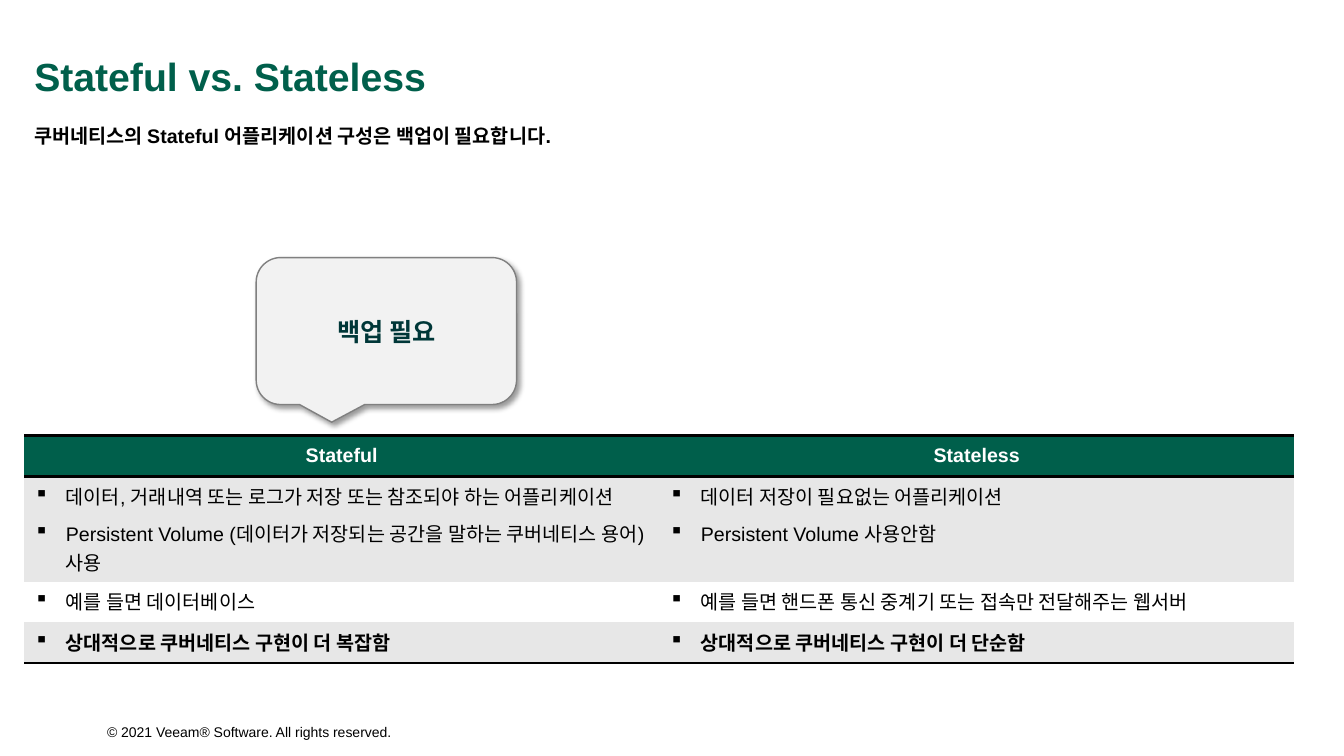
from dataclasses import dataclass

from lxml import etree
from pptx import Presentation
from pptx.dml.color import RGBColor
from pptx.enum.shapes import MSO_SHAPE as Shape
from pptx.enum.text import MSO_ANCHOR as Anchor, MSO_AUTO_SIZE as AutoSize, PP_ALIGN as Align
from pptx.oxml import parse_xml
from pptx.oxml.ns import nsdecls, qn
from pptx.util import Pt


@dataclass(frozen=True)
class Theme:
    font: str = "Arial"
    green: str = "005F4B"
    dark_green: str = "003738"
    black: str = "000000"
    white: str = "FFFFFF"
    band: str = "E7E7E7"
    callout: str = "F2F2F2"
    outline: str = "808080"
    title_size: float = 28
    callout_size: float = 18
    body_size: float = 14
    footer_size: float = 10


THEME = Theme()
NO_TABLE_STYLE = "{2D5ABB26-0587-4C30-8999-92F81FD0307C}"
LEFT, WIDTH = 17.3, 907.2
HEADINGS = ["Stateful", "Stateless"]
# Each row: height, fill, bold, and the bullets of the two columns.
COMPARISON = [
    (75, THEME.band, False, [
        ["데이터, 거래내역 또는 로그가 저장 또는 참조되야 하는 어플리케이션",
         "Persistent Volume (데이터가 저장되는 공간을 말하는 쿠버네티스 용어) 사용"],
        ["데이터 저장이 필요없는 어플리케이션", "Persistent Volume 사용안함"]]),
    (29, THEME.white, False, [
        ["예를 들면 데이터베이스"],
        ["예를 들면 핸드폰 통신 중계기 또는 접속만 전달해주는 웹서버"]]),
    (29, THEME.band, True, [
        ["상대적으로 쿠버네티스 구현이 더 복잡함"],
        ["상대적으로 쿠버네티스 구현이 더 단순함"]]),
]


def set_all(target, values):
    for name, value in values.items():
        setattr(target, name, value)


def set_bullet(paragraph, symbol=None, indent=0):
    properties = paragraph._p.get_or_add_pPr()
    properties.set("marL", str(Pt(indent)))
    properties.set("indent", str(-Pt(indent)))
    if symbol:
        etree.SubElement(properties, qn("a:buChar")).set("char", symbol)
    else:
        etree.SubElement(properties, qn("a:buNone"))


def add_border(cell, side):
    """Rule one edge of a cell; add the bottom edge before the top one."""
    cell._tc.get_or_add_tcPr().insert(0, parse_xml(
        f'<a:ln{side} {nsdecls("a")} w="{Pt(2)}"><a:solidFill>'
        f'<a:srgbClr val="{THEME.black}"/></a:solidFill></a:ln{side}>'))


class SlideBuilder:
    def __init__(self, presentation, theme):
        self.theme = theme
        self.slide = presentation.slides.add_slide(presentation.slide_layouts[1])

    def add_lines(self, frame, lines, size, color, bold=False, bullet=None, indent=0, **formats):
        for index, line in enumerate(lines):
            paragraph = frame.add_paragraph() if index else frame.paragraphs[0]
            set_all(paragraph, {"space_before": Pt(0), **formats})
            set_bullet(paragraph, bullet, indent)
            run = paragraph.add_run()
            run.text = line
            set_all(run.font, {"name": self.theme.font, "size": Pt(size), "bold": bold})
            run.font.color.rgb = RGBColor.from_string(color)

    def placeholder(self, index, box, anchor, text, size, color, **formats):
        shape = self.slide.placeholders[index]
        set_all(shape, dict(zip(("left", "top", "width", "height"), map(Pt, box))))
        set_all(shape.text_frame, {"auto_size": AutoSize.NONE, "vertical_anchor": anchor})
        self.add_lines(shape.text_frame, [text], size, color, True,
                       alignment=Align.LEFT, **formats)

    def footer(self, box, text):
        frame = self.slide.shapes.add_textbox(*map(Pt, box)).text_frame
        frame.word_wrap = False
        self.add_lines(frame, [text], self.theme.footer_size, self.theme.black,
                       alignment=Align.RIGHT)

    def callout(self, box, text):
        shape = self.slide.shapes.add_shape(Shape.ROUNDED_RECTANGULAR_CALLOUT, *map(Pt, box))
        shape.adjustments[0], shape.adjustments[1] = -0.21, 0.62
        shape.fill.solid()
        shape.fill.fore_color.rgb = RGBColor.from_string(self.theme.callout)
        shape.line.color.rgb = RGBColor.from_string(self.theme.outline)
        shape.line.width = Pt(1)
        shape.shadow.inherit = False
        effects = shape._element.spPr.find(qn("a:effectLst"))
        effects.append(parse_xml(
            f'<a:outerShdw {nsdecls("a")} blurRad="{Pt(4)}" dist="{Pt(3)}" dir="2700000" '
            f'algn="tl" rotWithShape="0"><a:srgbClr val="{self.theme.black}">'
            '<a:alpha val="40000"/></a:srgbClr></a:outerShdw>'))
        shape.text_frame.vertical_anchor = Anchor.MIDDLE
        self.add_lines(shape.text_frame, [text], self.theme.callout_size,
                       self.theme.dark_green, True, alignment=Align.CENTER)

    def cell(self, cell, fill, lines, color, bold, **formats):
        cell.fill.solid()
        cell.fill.fore_color.rgb = RGBColor.from_string(fill)
        self.add_lines(cell.text_frame, lines, self.theme.body_size, color, bold,
                       space_after=Pt(6), **formats)

    def comparison_table(self, top, header_height, headings, rows):
        heights = [header_height] + [row[0] for row in rows]
        frame = self.slide.shapes.add_table(
            len(heights), len(headings), Pt(LEFT), Pt(top), Pt(WIDTH), Pt(sum(heights)))
        table = frame.table
        set_all(table, {"first_row": False, "horz_banding": False})
        for style in frame._element.iter(qn("a:tableStyleId")):
            style.text = NO_TABLE_STYLE
        for row, height in zip(table.rows, heights):
            row.height = Pt(height)
        for column, heading in enumerate(headings):
            header = table.cell(0, column)
            header.vertical_anchor = Anchor.MIDDLE
            self.cell(header, self.theme.green, [heading], self.theme.white, True,
                      alignment=Align.CENTER)
            for number, (_, fill, bold, columns) in enumerate(rows, 1):
                self.cell(table.cell(number, column), fill, columns[column],
                          self.theme.black, bold, bullet="▪", indent=22.5)
            add_border(header, "B")
            add_border(header, "T")
            add_border(table.cell(len(rows), column), "B")


def main():
    presentation = Presentation()
    set_all(presentation, {"slide_width": Pt(960), "slide_height": Pt(540)})
    builder = SlideBuilder(presentation, THEME)
    builder.footer((66.2, 513.4, 220.3, 19.4), "© 2021 Veeam® Software. All rights reserved.")
    builder.placeholder(0, (LEFT, 42.5, 850.3, 28), Anchor.MIDDLE, "Stateful vs. Stateless",
                        THEME.title_size, THEME.green, line_spacing=0.9)
    builder.placeholder(1, (LEFT, 85, WIDTH, 85), Anchor.TOP,
                        "쿠버네티스의 Stateful 어플리케이션 구성은 백업이 필요합니다.",
                        THEME.body_size, THEME.black)
    builder.comparison_table(311, 29.5, HEADINGS, COMPARISON)
    builder.callout((183, 184, 186, 105), "백업 필요")
    presentation.save("out.pptx")


if __name__ == "__main__":
    main()
